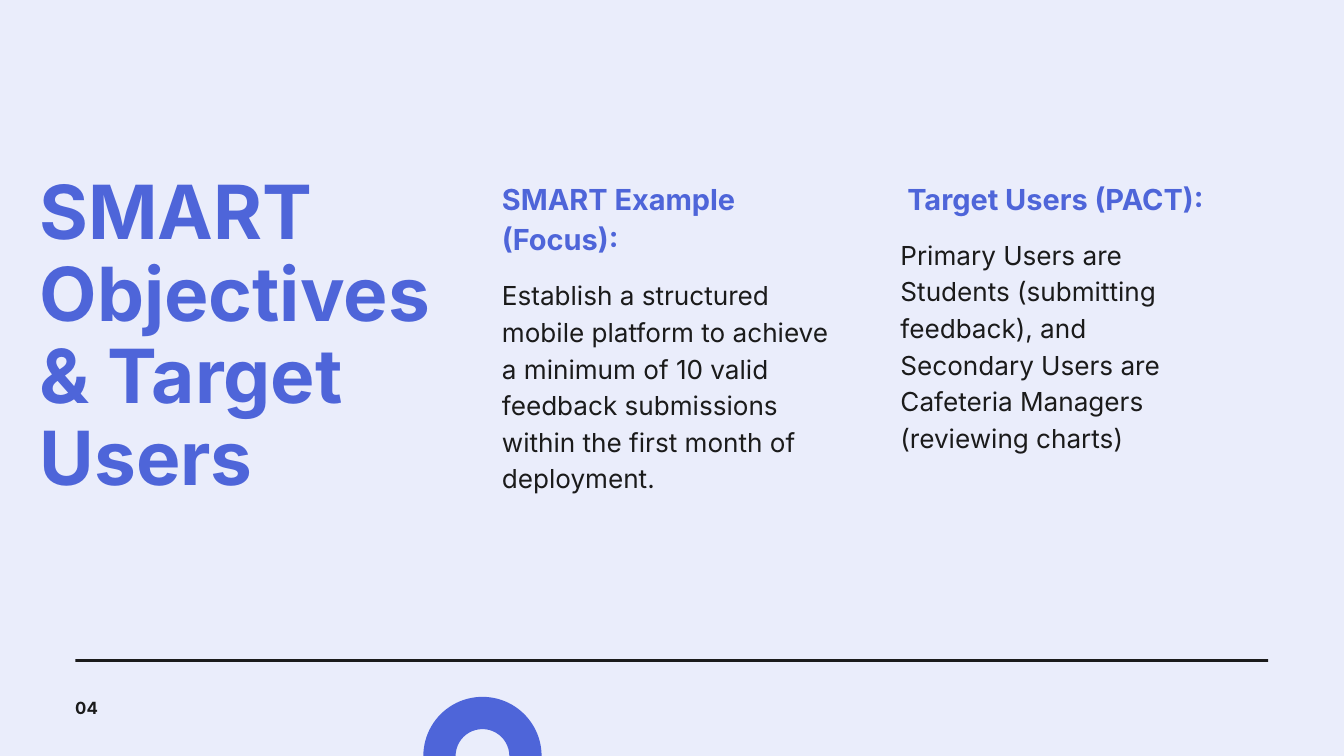
from pptx import Presentation
from pptx.dml.color import RGBColor
from pptx.enum import shapes, text
from pptx.util import Inches, Pt

WIDE, HIGH = 20, 11.25
COLS, ROWS = 20, 11.25  # square grid cells
BLUE, INK, PALE = "4E65D9", "1B1B1B", "EAEDFB"


def color(code):
    return RGBColor.from_string(code)


class Deck:
    """Holds the style and the current slide; places are in grid cells."""
    font = "Inter"

    def __init__(self):
        self.prs = Presentation()
        self.prs.slide_width = Inches(WIDE)
        self.prs.slide_height = Inches(HIGH)
        self.slide = self.prs.slides.add_slide(self.prs.slide_layouts[5])
        fill = self.slide.background.fill
        fill.solid()
        fill.fore_color.rgb = color(PALE)

    def place(self, col, row, wide, high):
        across, down = WIDE / COLS, HIGH / ROWS
        return [Inches(n) for n in
                (col * across, row * down, wide * across, high * down)]

    def letter(self, shape, words, size, lead, hue, bold):
        frame = shape.text_frame
        frame.word_wrap = True
        frame.auto_size = text.MSO_AUTO_SIZE.NONE
        frame.vertical_anchor = text.MSO_ANCHOR.TOP
        frame.margin_left = frame.margin_right = 0
        frame.margin_top = frame.margin_bottom = 0
        para = frame.paragraphs[0]
        para.alignment = text.PP_ALIGN.LEFT
        para.line_spacing = Pt(lead)
        para.space_before = Pt(0)
        run = para.add_run()
        run.text = words
        run.font.name, run.font.size, run.font.bold = self.font, Pt(size), bold
        run.font.color.rgb = color(hue)

    def title(self, words, box):
        shape = self.slide.shapes.title
        shape.left, shape.top, shape.width, shape.height = self.place(*box)
        self.letter(shape, words, 80, 88, BLUE, True)

    def label(self, words, box, size, lead, hue=INK, bold=False):
        shape = self.slide.shapes.add_textbox(*self.place(*box))
        self.letter(shape, words, size, lead, hue, bold)

    def topic(self, head, body, col, wide, lines):
        """A heading of some lines with its text below."""
        top, lead, gap = 2.61, 43.4, 0.27
        high = lines * lead / 72
        self.label(head, (col, top, wide, high), 31, lead, BLUE, True)
        self.label(body, (col, top + high + gap, wide, 3.23), 28, 39.2)

    def shape(self, kind, box, hue):
        item = self.slide.shapes.add_shape(kind, *self.place(*box))
        item.shadow.inherit = False
        item.fill.solid()
        item.fill.fore_color.rgb = color(hue)
        item.line.fill.background()
        return item


def main():
    deck = Deck()
    kinds = shapes.MSO_SHAPE

    # Title and the two topics
    deck.title("SMART Objectives & Target Users", (0.59, 2.56, 6.01, 4.89))
    deck.topic("SMART Example (Focus):",
               "Establish a structured mobile platform to achieve a minimum "
               "of 10 valid feedback submissions within the first month of "
               "deployment.", 7.47, 5.06, 2)
    deck.topic(" Target Users (PACT):",
               "Primary Users are Students (submitting feedback), and "
               "Secondary Users are Cafeteria Managers (reviewing charts)",
               13.4, 4.72, 1)

    # Footer rule and page number
    edge = 1.12
    deck.shape(kinds.RECTANGLE, (edge, 9.81, 17.75, 0.04), INK)
    deck.label("04", (edge, 10.34, 2.47, 0.34), 18, 25.2, bold=True)

    # Ring centred on the bottom edge
    size, band = 1.76, 0.48
    ring = deck.shape(kinds.DONUT, (6.3, ROWS - size / 2, size, size), BLUE)
    ring.adjustments[0] = band / size

    deck.prs.save("out.pptx")


if __name__ == "__main__":
    main()
